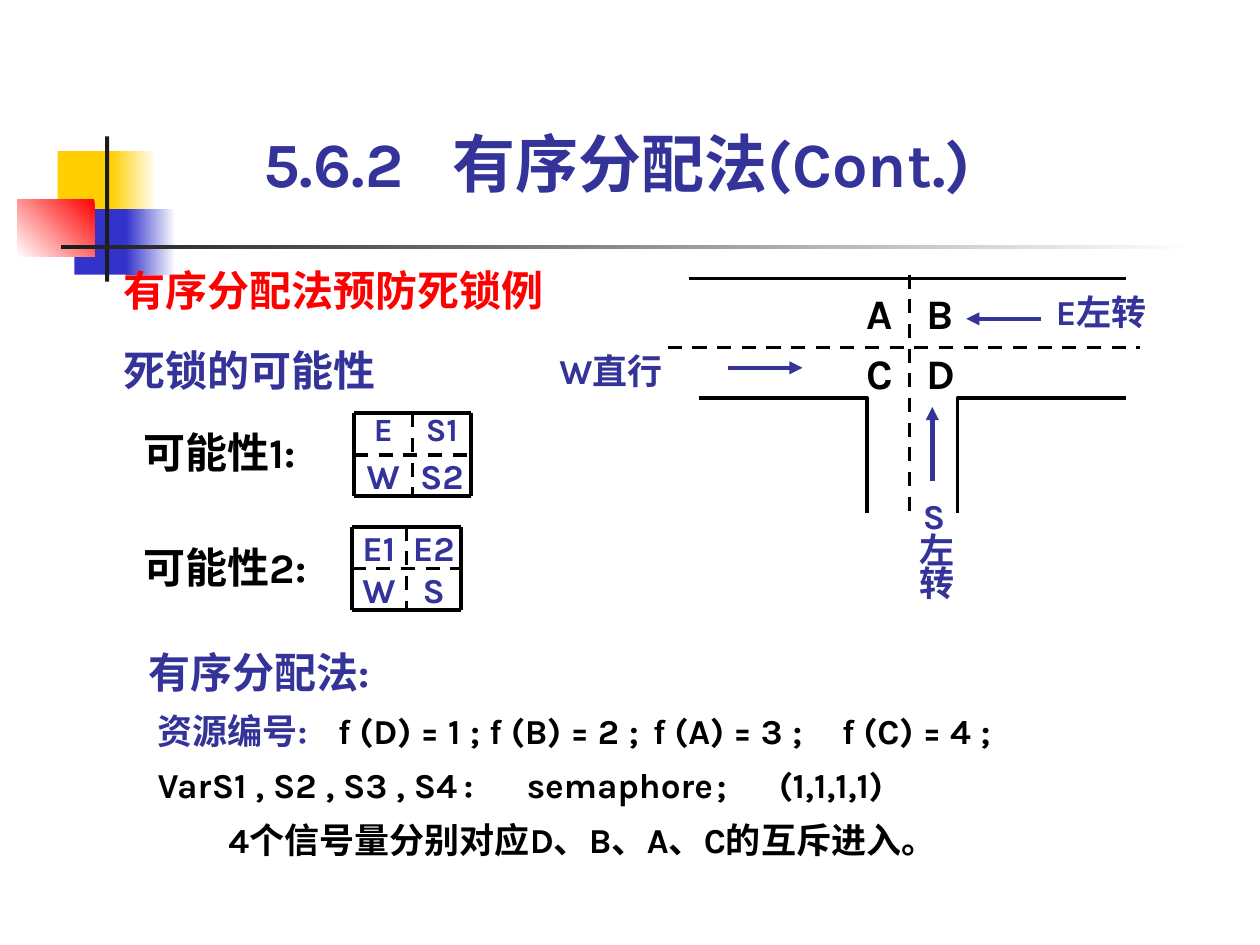
from dataclasses import dataclass
from typing import Optional

from lxml.etree import SubElement
from pptx import Presentation
from pptx.dml.color import RGBColor
from pptx.enum.dml import MSO_LINE
from pptx.enum.shapes import MSO_CONNECTOR, MSO_SHAPE
from pptx.enum.text import MSO_ANCHOR, MSO_AUTO_SIZE as AutoSize, PP_ALIGN as Align
from pptx.oxml.ns import qn
from pptx.util import Pt

FONT = "Karla"
COLORS = {
    "white": "FFFFFF", "black": "000000", "ink": "1C1C1C", "yellow": "FFCF01",
    "blue": "3333CC", "red": "FF0000", "navy": "333399",
}


@dataclass
class Band:
    left: float
    top: float
    width: float
    height: float
    start: str
    end: Optional[str] = None
    angle: float = 180


@dataclass
class Line:
    x1: float
    y1: float
    x2: float
    y2: float
    weight: float = 2
    color: str = "black"
    dashed: bool = False
    arrow: bool = False


@dataclass
class Para:
    runs: list[tuple[str, str]]
    size: float
    indent: float = 0
    tabs: tuple[float, ...] = ()


@dataclass
class Label:
    left: float
    top: float
    width: float
    height: float
    paras: list[Para]
    spacing: float = 1
    align: Align = Align.LEFT
    anchor: MSO_ANCHOR = MSO_ANCHOR.TOP
    inset: tuple[float, float] = (0, 0)
    grow: bool = True


@dataclass
class Crossing:
    left: float
    top: float
    width: float
    height: float
    names: list[list[str]]
    sizes: tuple[float, float]
    spacings: tuple[float, float]


def color(name: str) -> RGBColor:
    return RGBColor.from_string(COLORS[name])


def single(left: float, top: float, width: float, height: float, text: str,
           size: float, tint: str, **options) -> Label:
    return Label(left, top, width, height, [Para([(text, tint)], size)], **options)


def draw_band(page, band: Band) -> None:
    shape = page.shapes.add_shape(MSO_SHAPE.RECTANGLE, Pt(band.left), Pt(band.top),
                                  Pt(band.width), Pt(band.height))
    shape.shadow.inherit = False
    shape.line.fill.background()
    if band.end is None:
        shape.fill.solid()
        shape.fill.fore_color.rgb = color(band.start)
        return
    shape.fill.gradient()
    shape.fill.gradient_angle = band.angle
    for stop, name in zip(shape.fill.gradient_stops, (band.start, band.end)):
        stop.color.rgb = color(name)


def draw_line(page, line: Line) -> None:
    link = page.shapes.add_connector(MSO_CONNECTOR.STRAIGHT, Pt(line.x1), Pt(line.y1),
                                     Pt(line.x2), Pt(line.y2))
    link.line.width = Pt(line.weight)
    link.line.color.rgb = color(line.color)
    if line.dashed:
        link.line.dash_style = MSO_LINE.DASH
    if line.arrow:
        SubElement(link.line._get_or_add_ln(), qn("a:tailEnd"), type="triangle")
    SubElement(link._element.spPr, qn("a:effectLst"))


def draw_corner(page, points: list[tuple[float, float]]) -> None:
    (x, y), *rest = [(Pt(x), Pt(y)) for x, y in points]
    builder = page.shapes.build_freeform(x, y)
    builder.add_line_segments(rest, close=False)
    shape = builder.convert_to_shape()
    shape.shadow.inherit = False
    shape.fill.background()
    shape.line.width = Pt(2)
    shape.line.color.rgb = color("black")


def draw_label(page, label: Label) -> None:
    box = page.shapes.add_textbox(Pt(label.left), Pt(label.top),
                                  Pt(label.width), Pt(label.height))
    frame = box.text_frame
    frame.word_wrap = True
    frame.auto_size = AutoSize.SHAPE_TO_FIT_TEXT if label.grow else AutoSize.NONE
    frame.vertical_anchor = label.anchor
    frame.margin_left = frame.margin_right = Pt(label.inset[0])
    frame.margin_top = frame.margin_bottom = Pt(label.inset[1])
    for index, item in enumerate(label.paras):
        para = frame.add_paragraph() if index else frame.paragraphs[0]
        para.alignment = label.align
        para.line_spacing = label.spacing
        props = para._p.get_or_add_pPr()
        props.set("marL", "0")
        props.set("indent", str(Pt(item.indent)))
        if item.tabs:
            stops = SubElement(props, qn("a:tabLst"))
            for stop in item.tabs:
                SubElement(stops, qn("a:tab"), pos=str(Pt(stop)), algn="l")
        para.font.name, para.font.size, para.font.bold = FONT, Pt(item.size), True
        for text, tint in item.runs:
            span = para.add_run()
            span.text = text
            span.font.color.rgb = color(tint)


def draw_crossing(page, grid: Crossing) -> None:
    wide, high = grid.width / 2, grid.height / 2
    right, bottom = grid.left + grid.width, grid.top + grid.height
    for row, names in enumerate(grid.names):
        for column, name in enumerate(names):
            draw_label(page, single(
                grid.left + column * wide, grid.top + row * high, wide, high, name,
                grid.sizes[row], "navy", spacing=grid.spacings[row],
                align=Align.CENTER, grow=False))
    for step in range(3):
        middle = step == 1
        weight = 2 if middle else 2.25
        x, y = grid.left + step * wide, grid.top + step * high
        draw_line(page, Line(grid.left, y, right, y, weight, dashed=middle))
        draw_line(page, Line(x, grid.top, x, bottom, weight, dashed=middle))


# Corner blocks and the two rules
BANDS = [
    Band(33, 86.4, 34.5, 37.5, "yellow"),
    Band(63.5, 86.4, 26, 37.5, "white", "yellow"),
    Band(42.5, 119.5, 33, 37.5, "blue"),
    Band(72, 119.5, 28.5, 37.5, "white", "blue"),
    Band(10, 113.8, 44, 33, "red", "white", 225),
    Band(60, 78, 2.4, 83, "ink"),
    Band(34.8, 140, 648, 2.4, "white", "ink"),
]

# Road edges, centre lines and driving directions
ROADS = [
    Line(393.8, 159.1, 643.7, 159.1),
    Line(381.6, 198.7, 651.6, 198.7, dashed=True),
    Line(519.8, 157, 519.8, 295.2, dashed=True),
    Line(416.2, 210.2, 458.6, 210.2, 2.5, "navy", arrow=True),
    Line(594.7, 182.2, 552.2, 182.2, 2.5, "navy", arrow=True),
    Line(532.8, 275, 532.8, 232.6, 2.5, "navy", arrow=True),
]
CORNERS = [
    [(399.6, 227.3), (495.4, 227.3), (495.4, 293.2)],
    [(643.2, 227.3), (547.2, 227.3), (547.2, 293.2)],
]

LABELS = [
    # Title
    Label(150.5, 71.3, 450.7, 43.2,
          [Para([("5.6.2\t有序分配法(Cont.)", "navy")], 36, tabs=(105,))],
          anchor=MSO_ANCHOR.BOTTOM),
    # Ordered allocation
    Label(85, 360.7, 558, 131, [
        Para([("有序分配法:", "navy")], 24),
        Para([("资源编号:\t", "navy"),
              ("f (D) = 1 ; f (B) = 2 ;\tf (A) = 3 ;\tf (C) = 4 ;", "black")],
             20, 5, (106, 288, 383.5)),
        Para([("Var\tS1 , S2 , S3 , S4\t:\tsemaphore\t;\t(1,1,1,1)", "black")],
             20, 5, (46.5, 195.5, 217, 334, 354.5)),
        Para([("4个信号量分别对应D、B、A、C的互斥进入。", "black")], 20, 45.5),
    ], spacing=1.3),
    # Headings
    single(70.6, 151.2, 260.6, 28.8, "有序分配法预防死锁例", 24, "red"),
    single(70.6, 196.6, 170, 28.8, "死锁的可能性", 24, "navy"),
    single(82.1, 244, 96.5, 28.8, "可能性1:", 24, "black"),
    single(82.1, 309.6, 96.5, 28.8, "可能性2:", 24, "black"),
    # Junction quarters
    single(495.4, 164.2, 23.8, 28.8, "A", 24, "black"),
    single(529.2, 164.2, 17.3, 28.8, "B", 24, "black"),
    single(495.4, 198.7, 17.3, 28.8, "C", 24, "black"),
    single(529.2, 198.7, 17.3, 28.8, "D", 24, "black"),
    # Directions
    single(319.7, 204.5, 74.2, 19.4, "W直行", 20, "navy", spacing=0.8),
    single(603.4, 170.6, 62.6, 19.4, "E左转", 20, "navy", spacing=0.8),
    single(518.4, 283.7, 28.8, 64.8, "S左转", 20, "navy", spacing=0.8,
           align=Align.RIGHT, inset=(7.2, 3.6)),
]

CROSSINGS = [
    Crossing(202.3, 236.2, 67, 47.5, [["E", "S1"], ["W", "S2"]], (18.5, 20), (0.9, 1)),
    Crossing(200.9, 301, 62.6, 47.5, [["E1", "E2"], ["W", "S"]], (20, 20), (1, 1)),
]


def main() -> None:
    deck = Presentation()
    deck.slide_width, deck.slide_height = Pt(720), Pt(540)
    page = deck.slides.add_slide(deck.slide_layouts[6])
    for draw, items in ((draw_band, BANDS), (draw_line, ROADS), (draw_corner, CORNERS),
                        (draw_label, LABELS), (draw_crossing, CROSSINGS)):
        for item in items:
            draw(page, item)
    deck.save("out.pptx")


if __name__ == "__main__":
    main()
